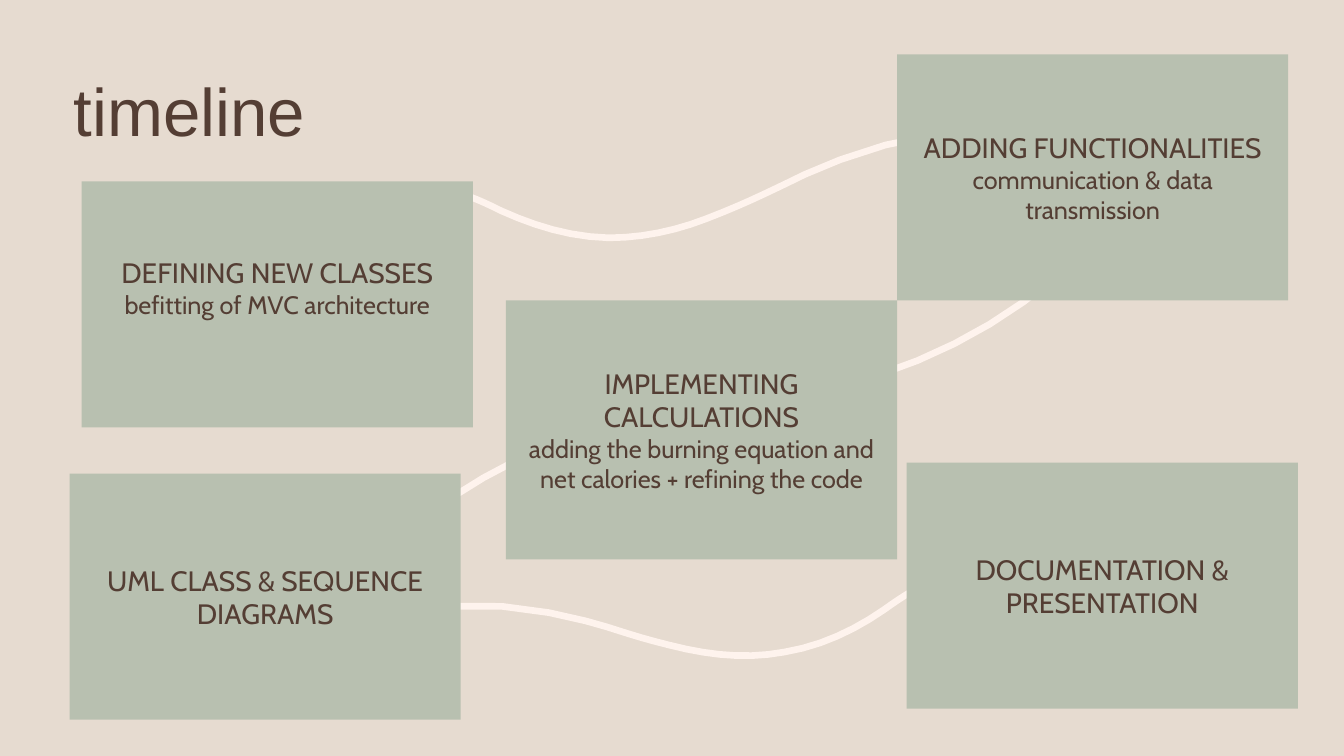
from dataclasses import dataclass

from pptx import Presentation
from pptx import util as u
from pptx.dml.color import RGBColor
from pptx.enum import shapes, text
from pptx.slide import Slide
from pptx.text.text import _Paragraph as Paragraph

Point = tuple[float, float]

COLOURS = {
    "background": "E6DBD0",
    "card": "B8C0B0",
    "curve": "FEF3ED",
    "text": "543E34",
}
CARD_WIDTH = 279.4
CARD_HEIGHT = 175.7
CARD_INSET = 10
CURVE_WIDTH = 4.75
STEPS = 6


@dataclass(frozen=True)
class Card:
    left: float
    top: float
    heading: str
    details: tuple[str, ...] = ()
    height: float = CARD_HEIGHT
    bottom_inset: float = 3.6


@dataclass(frozen=True)
class Curve:
    points: tuple[Point, ...]


CURVES = (
    Curve(((599.8, 275.8), (657.4, 261.4), (709.2, 235.4), (753.8, 198))),
    Curve(((420.5, 308.2), (366.5, 325.4), (320.4, 352.8), (280.1, 388.1))),
    Curve((
        (221, 160.6),
        (252, 134.6), (286.6, 127.4), (323.3, 136.8),
        (335.5, 139.7), (346.3, 144.7), (357.8, 150.5),
        (381.6, 161.3), (406.8, 169.2), (434.9, 169.9),
        (458.6, 169.9), (482.4, 164.9), (504.7, 156.2),
        (530.6, 146.2), (545, 139), (560.2, 131.8),
        (576.7, 123.1), (676.8, 74.2), (739.4, 105.1),
    )),
    Curve((
        (662.4, 416.9),
        (650.9, 421.9), (641.5, 428.4), (631.4, 435.6),
        (610.6, 450), (586.8, 461.5), (560.2, 465.8),
        (537.1, 470.2), (514.1, 468.7), (490.3, 463.7),
        (464.4, 457.9), (449.3, 452.9), (433.4, 447.8),
        (416.2, 442.8), (312.5, 410.4), (249.8, 457.9),
    )),
)

CARDS = (
    Card(58.3, 129.6, "DEFINING NEW CLASSES",
         ("befitting of MVC architecture",), bottom_inset=27.6),
    Card(640.8, 38.9, "ADDING FUNCTIONALITIES",
         ("communication & data transmission",)),
    Card(361.4, 214.6, "IMPLEMENTING CALCULATIONS",
         ("adding the burning equation and",
          "net calories + refining the code"), height=185),
    Card(49.7, 338.4, "UML CLASS & SEQUENCE DIAGRAMS"),
    Card(647.6, 330.5, "DOCUMENTATION & PRESENTATION"),
)


def colour(name: str) -> RGBColor:
    return RGBColor.from_string(COLOURS[name])


def format_paragraph(paragraph: Paragraph, size: float, font: str,
                     alignment: text.PP_ALIGN) -> None:
    paragraph.alignment = alignment
    paragraph.space_before = u.Pt(0)
    for run in paragraph.runs:
        run.font.size = u.Pt(size)
        run.font.name = font
        run.font.color.rgb = colour("text")


def bezier(corners: tuple[Point, ...], t: float) -> Point:
    weights = ((1 - t) ** 3, 3 * t * (1 - t) ** 2, 3 * t ** 2 * (1 - t), t ** 3)
    return (sum(w * x for w, (x, _) in zip(weights, corners)),
            sum(w * y for w, (_, y) in zip(weights, corners)))


def draw_curve(slide: Slide, curve: Curve) -> None:
    vertices = [
        bezier(curve.points[start:start + 4], step / STEPS)
        for start in range(0, len(curve.points) - 1, 3)
        for step in range(1, STEPS + 1)
    ]
    start_x, start_y = curve.points[0]
    builder = slide.shapes.build_freeform(u.Pt(start_x), u.Pt(start_y))
    builder.add_line_segments([(u.Pt(x), u.Pt(y)) for x, y in vertices], close=False)
    shape = builder.convert_to_shape()
    shape.shadow.inherit = False
    shape.fill.background()
    shape.line.color.rgb = colour("curve")
    shape.line.width = u.Pt(CURVE_WIDTH)


def draw_card(slide: Slide, card: Card) -> None:
    shape = slide.shapes.add_shape(
        shapes.MSO_SHAPE.RECTANGLE, u.Pt(card.left), u.Pt(card.top),
        u.Pt(CARD_WIDTH), u.Pt(card.height))
    shape.shadow.inherit = False
    shape.fill.solid()
    shape.fill.fore_color.rgb = colour("card")
    shape.line.fill.background()
    frame = shape.text_frame
    frame.word_wrap = True
    frame.vertical_anchor = text.MSO_ANCHOR.MIDDLE
    frame.margin_left = frame.margin_right = u.Pt(CARD_INSET)
    frame.margin_bottom = u.Pt(card.bottom_inset)
    frame.text = "\n".join((card.heading, *card.details))
    for index, paragraph in enumerate(frame.paragraphs):
        format_paragraph(paragraph, 18 if index else 20, "Cabin", text.PP_ALIGN.CENTER)


def draw_title(slide: Slide, wording: str) -> None:
    title = slide.shapes.title
    title.left, title.top = u.Pt(45.4), u.Pt(55.4)
    title.width, title.height = u.Pt(720), u.Pt(53.3)
    frame = title.text_frame
    frame.text = wording
    frame.word_wrap = True
    frame.auto_size = text.MSO_AUTO_SIZE.NONE
    frame.vertical_anchor = text.MSO_ANCHOR.MIDDLE
    paragraph = frame.paragraphs[0]
    paragraph.line_spacing = 0.9
    format_paragraph(paragraph, 48, "Arial", text.PP_ALIGN.LEFT)


def main() -> None:
    presentation = Presentation()
    presentation.slide_width = u.Pt(960)
    presentation.slide_height = u.Pt(540)
    slide = presentation.slides.add_slide(presentation.slide_layouts[5])
    slide.background.fill.solid()
    slide.background.fill.fore_color.rgb = colour("background")
    for curve in CURVES:
        draw_curve(slide, curve)
    draw_title(slide, "timeline")
    for card in CARDS:
        draw_card(slide, card)
    presentation.save("out.pptx")


if __name__ == "__main__":
    main()
